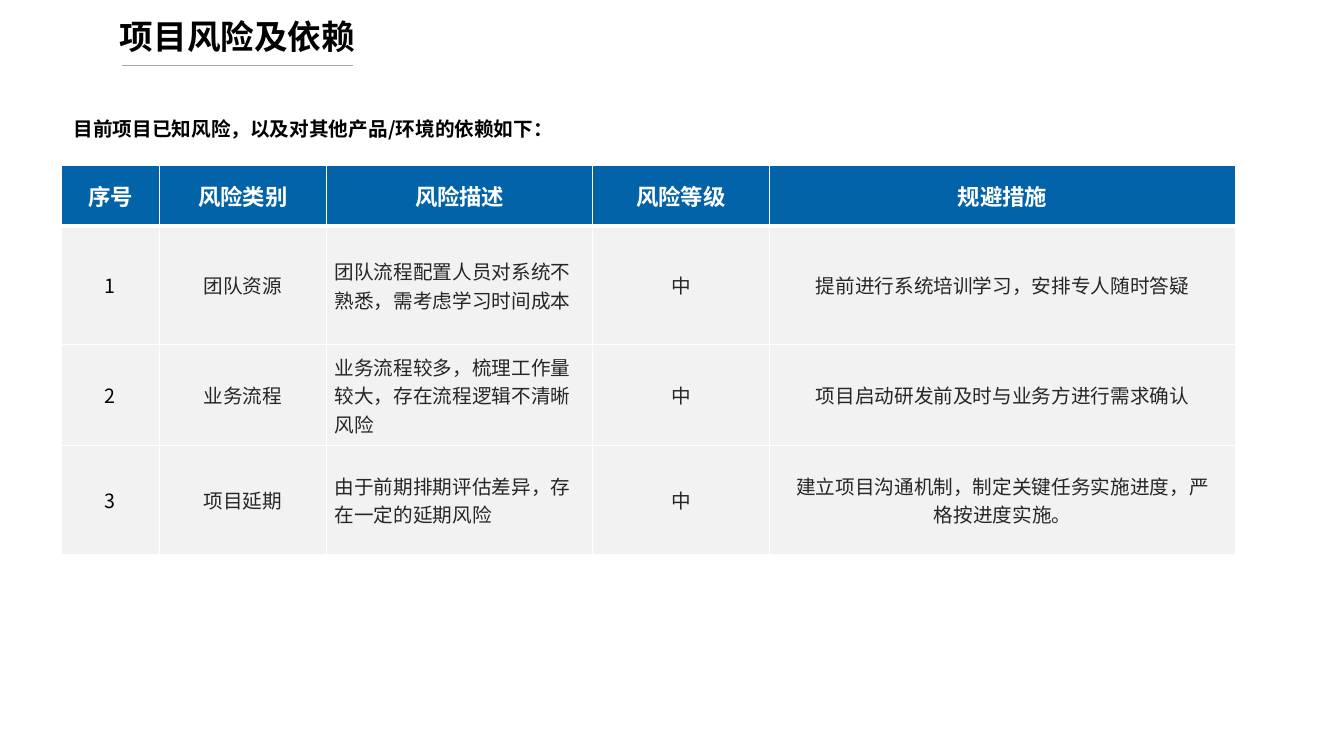
import pptx
import pptx.util
import pptx.dml.color
import pptx.enum.shapes
import pptx.enum.text
import pptx.oxml
import pptx.oxml.ns
from lxml import etree

Inches, Pt = pptx.util.Inches, pptx.util.Pt
RGB = pptx.dml.color.RGBColor.from_string
PP_ALIGN = pptx.enum.text.PP_ALIGN
qn = pptx.oxml.ns.qn

FONT = "Noto Sans CJK SC"
COLORS = {"black": "000000", "body": "262626", "white": "FFFFFF",
          "header": "0363A8", "row": "F2F2F2", "rule": "A6A6A6"}


def write(tf, text, size=14, color="black", bold=False, align=PP_ALIGN.LEFT):
    """Fill a text frame, one paragraph per line of text."""
    for i, line in enumerate(text.split("\n")):
        p = tf.paragraphs[0] if i == 0 else tf.add_paragraph()
        p.alignment = align
        r = p.add_run()
        r.text = line
        r.font.name, r.font.size, r.font.bold = FONT, Pt(size), bold
        r.font.color.rgb = RGB(COLORS[color])
        ea = etree.SubElement(r.font._element, qn("a:ea"))
        ea.set("typeface", FONT)


def set_borders(cell, bottom):
    """White borders; they come before the fill in the cell properties."""
    tcPr = cell._tc.get_or_add_tcPr()
    for i, (side, width) in enumerate([("L", 1), ("R", 1), ("T", 1), ("B", bottom)]):
        ln = etree.Element(qn(f"a:ln{side}"), w=str(Pt(width)))
        fill = etree.SubElement(ln, qn("a:solidFill"))
        etree.SubElement(fill, qn("a:srgbClr"), val=COLORS["white"])
        tcPr.insert(i, ln)


prs = pptx.Presentation()
prs.slide_width, prs.slide_height = Inches(13.33), Inches(7.5)
s = prs.slides.add_slide(prs.slide_layouts[6])

# Title and the rule under it
rule = s.shapes.add_connector(pptx.enum.shapes.MSO_CONNECTOR.STRAIGHT,
                              Inches(1.21), Inches(0.65), Inches(3.5), Inches(0.65))
rule.line.color.rgb = RGB(COLORS["rule"])
rule.line.width = Pt(0.5)
etree.SubElement(rule._element.spPr, qn("a:effectLst"))

title = s.shapes.add_textbox(Inches(1.09), Inches(0.11), Inches(2.53), Inches(0.5))
title.text_frame.word_wrap = False
title.text_frame.auto_size = pptx.enum.text.MSO_AUTO_SIZE.SHAPE_TO_FIT_TEXT
write(title.text_frame, "项目风险及依赖", size=24, bold=True)

# Risk table
rows = [
    ["序号", "风险类别", "风险描述", "风险等级", "规避措施"],
    ["1", "团队资源", "团队流程配置人员对系统不熟悉，需考虑学习时间成本", "中",
     "提前进行系统培训学习，安排专人随时答疑"],
    ["2", "业务流程", "业务流程较多，梳理工作量较大，存在流程逻辑不清晰风险", "中",
     "项目启动研发前及时与业务方进行需求确认"],
    ["3", "项目延期", "由于前期排期评估差异，存在一定的延期风险", "中",
     "建立项目沟通机制，制定关键任务实施进度，严\n格按进度实施。"],
]
col_widths = [0.97, 1.66, 2.64, 1.75, 4.63]
row_heights = [0.6, 1.18, 1, 1.08]
table = s.shapes.add_table(len(rows), len(col_widths), Inches(0.61), Inches(1.64),
                           Inches(sum(col_widths)), Inches(sum(row_heights))).table
for col, width in zip(table.columns, col_widths):
    col.width = Inches(width)
for row, height in zip(table.rows, row_heights):
    row.height = Inches(height)

for i, texts in enumerate(rows):
    header = i == 0
    for j, text in enumerate(texts):
        cell = table.cell(i, j)
        cell.fill.solid()
        cell.fill.fore_color.rgb = RGB(COLORS["header" if header else "row"])
        cell.vertical_anchor = pptx.enum.text.MSO_ANCHOR.MIDDLE
        cell.margin_left = cell.margin_right = Inches(0.08)
        cell.margin_top = cell.margin_bottom = 0
        set_borders(cell, bottom=3 if header else 1)
        if header:
            write(cell.text_frame, text, size=16, color="white", bold=True,
                  align=PP_ALIGN.CENTER)
        else:
            write(cell.text_frame, text, color="black" if j == 0 else "body",
                  align=PP_ALIGN.LEFT if j == 2 else PP_ALIGN.CENTER)

# Introduction above the table
intro = s.shapes.add_textbox(Inches(0.73), Inches(1.13), Inches(7.33), Inches(0.42))
tf = intro.text_frame
tf.word_wrap = True
tf.margin_left, tf.margin_right = 0, Inches(0.06)
tf.margin_top = tf.margin_bottom = Inches(0.03)
write(tf, "目前项目已知风险，以及对其他产品/环境的依赖如下：", bold=True)

prs.save("out.pptx")
